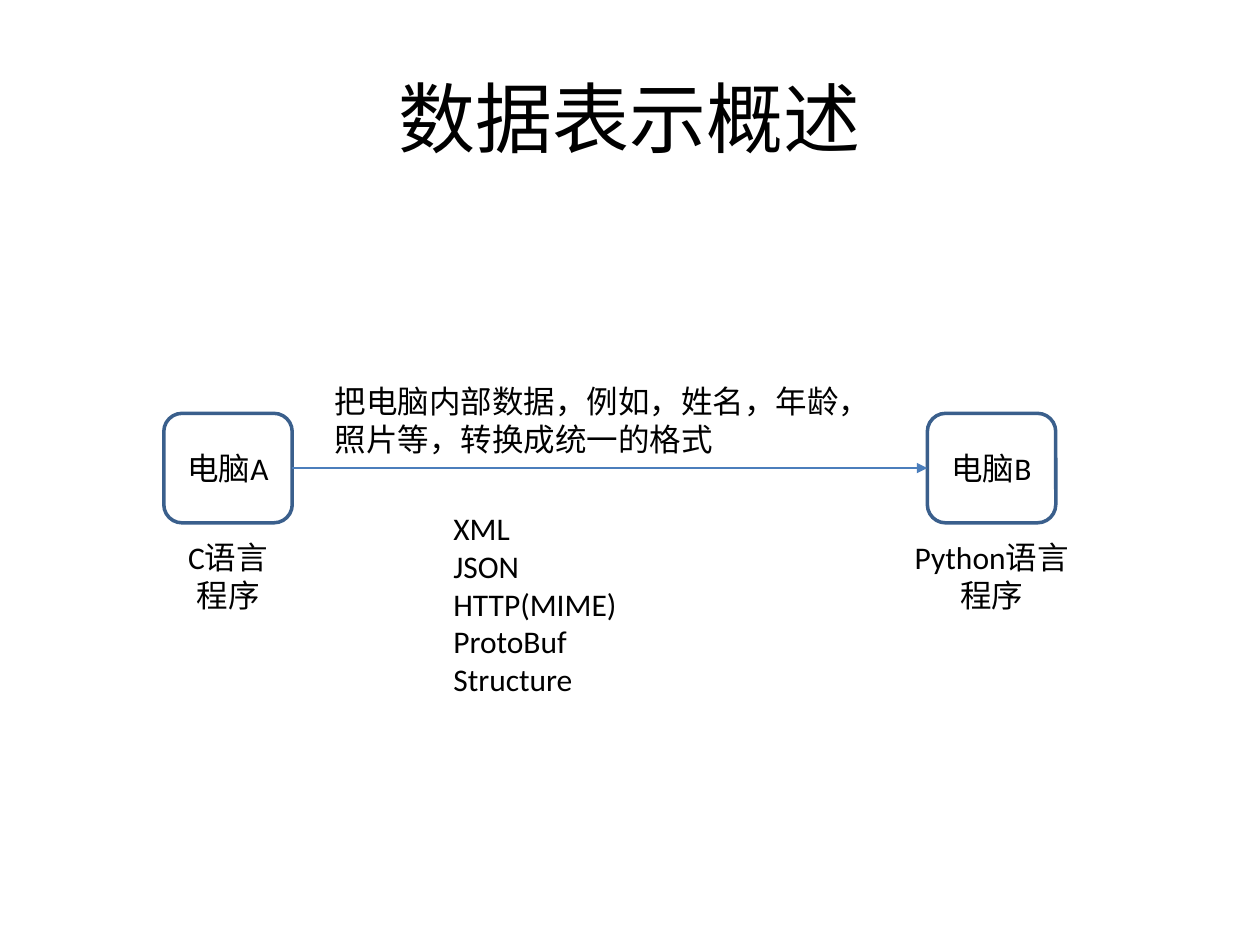
"""Build a slide on exchanging data between two computers."""
from dataclasses import dataclass

from lxml import etree
from pptx import Presentation
from pptx.dml.color import RGBColor
from pptx.enum.shapes import MSO_CONNECTOR, MSO_SHAPE
from pptx.enum.text import MSO_ANCHOR, MSO_AUTO_SIZE, PP_ALIGN
from pptx.oxml.ns import qn
from pptx.shapes.autoshape import Shape
from pptx.slide import Slide
from pptx.text.text import TextFrame
from pptx.util import Pt

ROUND = MSO_SHAPE.ROUNDED_RECTANGLE
STRAIGHT = MSO_CONNECTOR.STRAIGHT
MIDDLE = MSO_ANCHOR.MIDDLE
GROW = MSO_AUTO_SIZE.SHAPE_TO_FIT_TEXT
LEFT, CENTER = PP_ALIGN.LEFT, PP_ALIGN.CENTER
FONT = "Calibri"
COLORS = {"text": "000000", "fill": "FFFFFF", "edge": "3A5F8C", "arrow": "4B7EBC"}


@dataclass
class Item:
    """Text with its place in points."""
    text: str
    left: float
    top: float
    width: float
    height: float
    align: PP_ALIGN = CENTER

    def place(self) -> tuple:
        """Return the left, top, width and height as lengths."""
        return Pt(self.left), Pt(self.top), Pt(self.width), Pt(self.height)


TITLE = Item("数据表示概述", 36, 21.6, 648, 90)
NODES = [Item(f"电脑{name}", left, 236.2, 73.4, 62.6)
         for name, left in (("A", 93.6), ("B", 529.9))]
NOTES = [
    Item("把电脑内部数据，例如，姓名，年龄，照片等，转换成统一的格式",
         184.3, 214.6, 306, 51.1, LEFT),
    Item("C语言程序", 96.5, 303.8, 67.7, 51.1),
    Item("Python语言程序", 513.4, 303.8, 106.6, 51.1),
    Item("XML\nJSON\nHTTP(MIME)\nProtoBuf\nStructure",
         252, 287.3, 158.4, 138.2, LEFT),
]


def color(name: str) -> RGBColor:
    """Look up a named colour."""
    return RGBColor.from_string(COLORS[name])


def write(frame: TextFrame, item: Item, size: float = 18) -> None:
    """Fill a frame with styled text."""
    frame.text = item.text
    frame.word_wrap = True
    for para in frame.paragraphs:
        para.alignment = item.align
        for run in para.runs:
            run.font.name = FONT
            run.font.size = Pt(size)
            run.font.color.rgb = color("text")


def add_title(slide: Slide, item: Item) -> None:
    """Place and fill the title."""
    title = slide.shapes.title
    title.left, title.top, title.width, title.height = item.place()
    write(title.text_frame, item, 44)
    title.text_frame.vertical_anchor = MIDDLE


def add_node(slide: Slide, item: Item) -> Shape:
    """Draw one computer."""
    node = slide.shapes.add_shape(ROUND, *item.place())
    node.shadow.inherit = False
    node.fill.solid()
    node.fill.fore_color.rgb = color("fill")
    node.line.color.rgb = color("edge")
    node.line.width = Pt(2)
    write(node.text_frame, item)
    node.text_frame.vertical_anchor = MIDDLE
    return node


def add_arrow(slide: Slide, start: Shape, end: Shape) -> None:
    """Join two computers with an arrow."""
    arrow = slide.shapes.add_connector(STRAIGHT, 0, 0, 0, 0)
    arrow.begin_connect(start, 3)
    arrow.end_connect(end, 1)
    arrow.line.color.rgb = color("arrow")
    arrow.line.width = Pt(0.75)
    etree.SubElement(arrow.line._get_or_add_ln(), qn("a:tailEnd"), type="triangle")
    etree.SubElement(arrow._element.spPr, qn("a:effectLst"))


def add_note(slide: Slide, item: Item) -> None:
    """Add a text box."""
    box = slide.shapes.add_textbox(*item.place())
    write(box.text_frame, item)
    box.text_frame.auto_size = GROW


def main() -> None:
    """Build and save the slide."""
    deck = Presentation()
    deck.slide_width, deck.slide_height = Pt(720), Pt(540)
    slide = deck.slides.add_slide(deck.slide_layouts[5])
    add_title(slide, TITLE)
    start, end = [add_node(slide, item) for item in NODES]
    add_arrow(slide, start, end)
    for item in NOTES:
        add_note(slide, item)
    deck.save("out.pptx")


if __name__ == "__main__":
    main()
